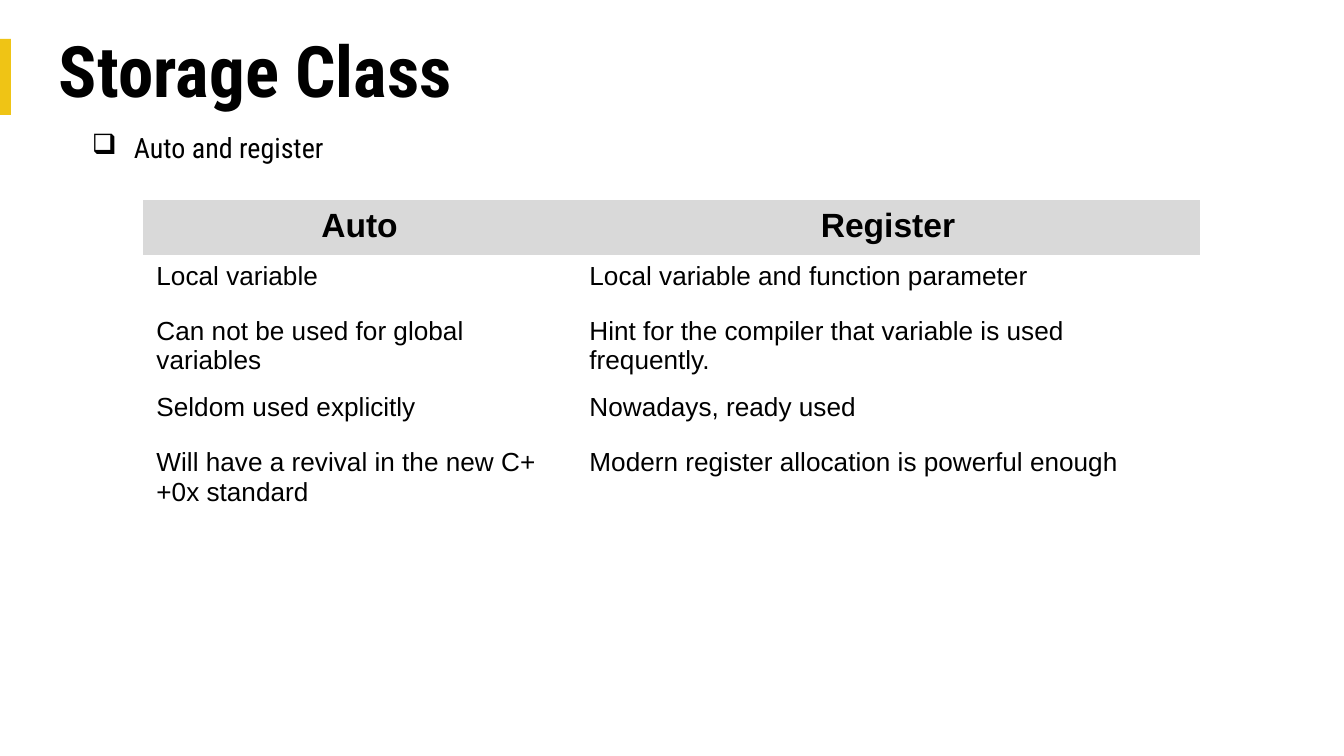
import lxml.etree
import pptx
import pptx.dml.color
import pptx.enum.shapes
import pptx.enum.text
import pptx.oxml.ns
import pptx.util

TITLE = "Storage Class"
TOPIC = "Auto and register"
ROWS = [
    ("Auto", "Register"),
    ("Local variable", "Local variable and function parameter"),
    ("Can not be used for global variables",
     "Hint for the compiler that variable is used frequently."),
    ("Seldom used explicitly", "Nowadays, ready used"),
    ("Will have a revival in the new C++0x standard",
     "Modern register allocation is powerful enough"),
]
COLS = (433, 624)
ROW = 55
NOSTYLE = "{2D5ABB26-0587-4C30-8999-92F81FD0307C}"
MID = pptx.enum.text.PP_ALIGN.CENTER
LEFT = pptx.enum.text.PP_ALIGN.LEFT
FONTS = {
    "title": {"name": "Roboto Condensed", "size": pptx.util.Pt(38), "bold": True},
    "topic": {"name": "Roboto Condensed", "size": pptx.util.Pt(15), "bold": False},
    "head": {"name": "Arial", "size": pptx.util.Pt(18), "bold": True},
    "cell": {"name": "Arial", "size": pptx.util.Pt(14), "bold": False},
}
SCALE = 914400 / 134.4


def px(n):
    return pptx.util.Emu(round(n * SCALE))


def color(code):
    return pptx.dml.color.RGBColor.from_string(code)


def apply(item, values):
    for key, value in values.items():
        setattr(item, key, value)


def write(frame, text, style, **layout):
    para = frame.paragraphs[0]
    apply(para, layout)
    run = para.add_run()
    run.text = text
    apply(run.font, FONTS[style])
    run.font.color.rgb = color("000000")
    return para


def add_text(slide, box, anchor, text, style, spacing):
    frame = slide.shapes.add_textbox(*map(px, box)).text_frame
    apply(frame, {
        "word_wrap": True, "vertical_anchor": anchor,
        "margin_left": px(10), "margin_right": px(10),
        "margin_top": px(5), "margin_bottom": px(5),
    })
    return write(frame, text, style, line_spacing=spacing)


def add_bullet(para, mark, left, indent):
    props = para._p.get_or_add_pPr()
    props.set("marL", str(px(left)))
    props.set("indent", str(px(indent)))
    tint = lxml.etree.SubElement(props, pptx.oxml.ns.qn("a:buClr"))
    lxml.etree.SubElement(tint, pptx.oxml.ns.qn("a:srgbClr"), val="000000")
    lxml.etree.SubElement(props, pptx.oxml.ns.qn("a:buChar"), char=mark)


def add_grid(slide, left, top):
    size = (left, top, sum(COLS), ROW * len(ROWS))
    frame = slide.shapes.add_table(len(ROWS), len(COLS), *map(px, size))
    table = frame.table
    apply(table, {"first_row": False, "horz_banding": False})
    table._tbl.tblPr.find(pptx.oxml.ns.qn("a:tableStyleId")).text = NOSTYLE
    for col, width in zip(table.columns, COLS):
        col.width = px(width)
    for r, texts in enumerate(ROWS):
        table.rows[r].height = px(ROW)
        for c, text in enumerate(texts):
            cell = table.cell(r, c)
            if r == 0:
                cell.fill.solid()
                cell.fill.fore_color.rgb = color("D9D9D9")
                write(cell.text_frame, text, "head", alignment=MID)
            else:
                cell.fill.background()
                write(cell.text_frame, text, "cell", alignment=LEFT)


def main():
    deck = pptx.Presentation()
    apply(deck, {"slide_width": px(1344), "slide_height": px(756)})
    slide = deck.slides.add_slide(deck.slide_layouts[6])

    bar = slide.shapes.add_shape(
        pptx.enum.shapes.MSO_SHAPE.RECTANGLE, *map(px, (0, 39, 11, 76)))
    bar.shadow.inherit = False
    bar.fill.solid()
    bar.fill.fore_color.rgb = color("EFC415")
    bar.line.fill.background()

    anchor = pptx.enum.text.MSO_ANCHOR
    add_text(slide, (49, 28, 1247, 93), anchor.MIDDLE, TITLE, "title", 0.9)
    topic = add_text(slide, (49, 121, 1247, 573), anchor.TOP, TOPIC, "topic", 1.14)
    add_bullet(topic, "❑", 75, -42)
    add_grid(slide, 143, 200)
    deck.save("out.pptx")


if __name__ == "__main__":
    main()
